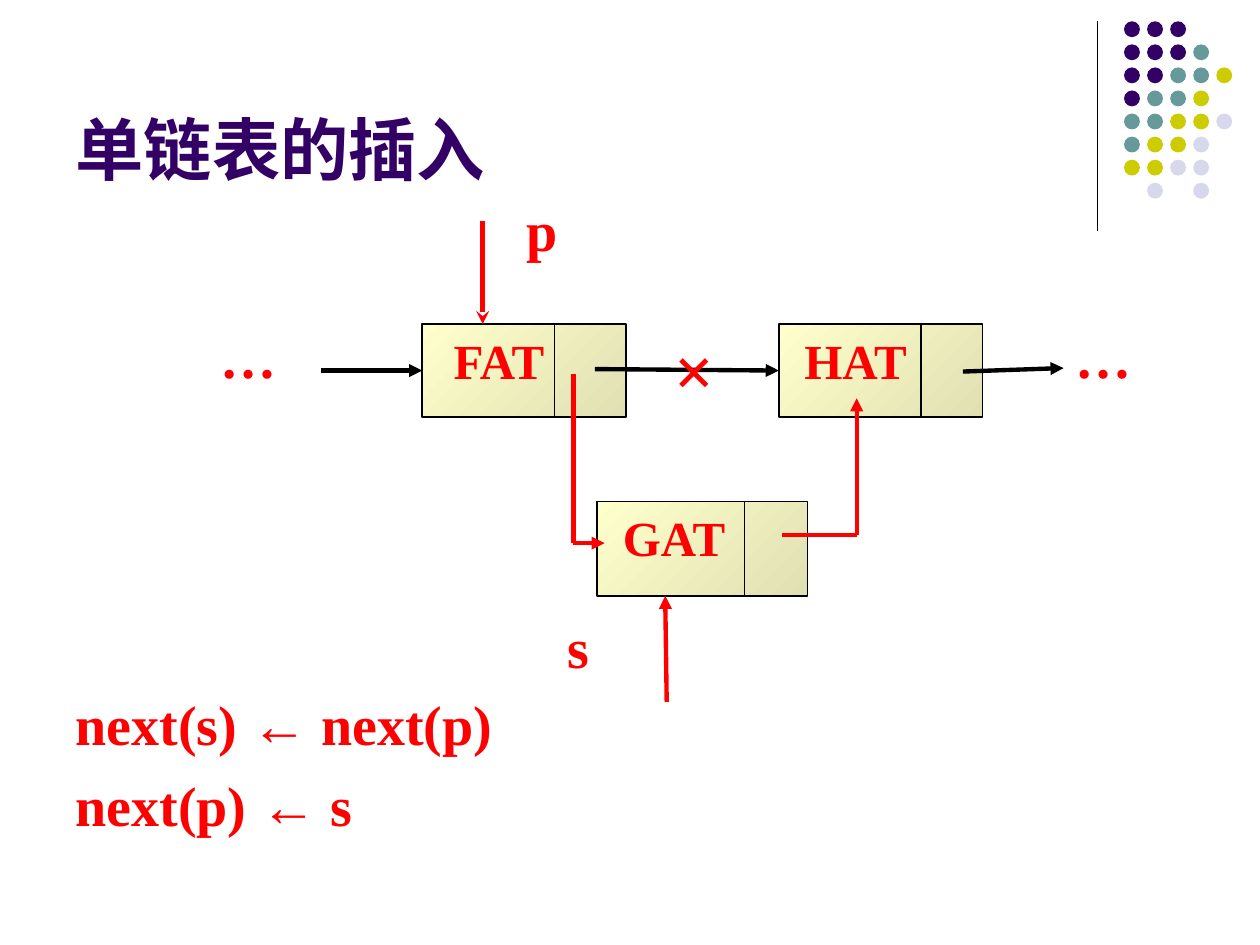
from lxml import etree
from pptx import Presentation
from pptx.dml.color import RGBColor
from pptx.enum.shapes import MSO_CONNECTOR, MSO_SHAPE
from pptx.enum.text import MSO_ANCHOR, PP_ALIGN
from pptx.oxml.ns import qn
from pptx.util import Cm, Pt

STRAIGHT = MSO_CONNECTOR.STRAIGHT
RECTANGLE, OVAL = MSO_SHAPE.RECTANGLE, MSO_SHAPE.OVAL
LEFT, CENTER = PP_ALIGN.LEFT, PP_ALIGN.CENTER
BOTTOM = MSO_ANCHOR.BOTTOM
LEFT_SIDE = 1

BLACK = RGBColor(0x00, 0x00, 0x00)
RED = RGBColor(0xFF, 0x00, 0x00)
PURPLE = RGBColor(0x33, 0x00, 0x66)
TEAL = RGBColor(0x66, 0x99, 0x99)
OLIVE = RGBColor(0xCC, 0xCC, 0x00)
LAVENDER = RGBColor(0xD8, 0xD8, 0xEC)
CREAM = RGBColor(0xFF, 0xFF, 0xCC)
SAND = RGBColor(0xE0, 0xE0, 0xB3)

SERIF, SANS = "Times New Roman", "Arial"
DOT_COLORS = {"P": PURPLE, "T": TEAL, "O": OLIVE, "L": LAVENDER}
DOT_ROWS = ["PPP", "PPPT", "PPTTO", "PTTO", "TTOOL", "TOOL", "OOLL", " L L"]
DOT_LEFT, DOT_TOP, DOT_PITCH, DOT_SIZE = 22.66, 0.43, 0.465, 0.32


def set_font(paragraph, size, color, name=None):
    font = paragraph.font
    font.size = Pt(size)
    font.bold = True
    font.color.rgb = color
    if name:
        font.name = name


def add_line(slide, start, end, color=BLACK, width=2.5, head=None):
    """Draw a straight line; head is the arrowhead type at its end."""
    line = slide.shapes.add_connector(STRAIGHT, *map(Cm, start + end))
    line.line.color.rgb = color
    line.line.width = Pt(width)
    if head:
        etree.SubElement(line.line._get_or_add_ln(), qn("a:tailEnd"), type=head)
    etree.SubElement(line._element.spPr, qn("a:effectLst"))
    return line


def add_text_box(slide, left, top, width, height, wrap=True):
    frame = slide.shapes.add_textbox(*map(Cm, (left, top, width, height))).text_frame
    frame.word_wrap = wrap
    return frame


def add_label(slide, text, box, size=32, alignment=LEFT, wrap=True):
    paragraph = add_text_box(slide, *box, wrap=wrap).paragraphs[0]
    paragraph.text = text
    paragraph.alignment = alignment
    set_font(paragraph, size, RED, SERIF)
    return paragraph


def add_node(slide, text, left, top, width, height, divider):
    """Draw a list node: a data field and, right of the divider, a link field."""
    node = slide.shapes.add_shape(RECTANGLE, *map(Cm, (left, top, width, height)))
    node.shadow.inherit = False
    node.fill.gradient()
    node.fill.gradient_angle = 315
    for stop, color in zip(node.fill.gradient_stops, (CREAM, SAND)):
        stop.color.rgb = color
    node.line.color.rgb = BLACK
    node.line.width = Pt(1)
    add_line(slide, (divider, top), (divider, top + height), width=1)
    add_label(slide, text, (left + 0.2, top, 2.7, 1.45), 28, CENTER)
    return node


def add_dots(slide):
    for row, codes in enumerate(DOT_ROWS):
        for column, code in enumerate(codes):
            if code == " ":
                continue
            dot = slide.shapes.add_shape(
                OVAL, Cm(DOT_LEFT + column * DOT_PITCH),
                Cm(DOT_TOP + row * DOT_PITCH), Cm(DOT_SIZE), Cm(DOT_SIZE))
            dot.shadow.inherit = False
            dot.fill.solid()
            dot.fill.fore_color.rgb = DOT_COLORS[code]
            dot.line.fill.background()


def add_run_shadow(run):
    effects = etree.Element(qn("a:effectLst"))
    shadow = etree.SubElement(effects, qn("a:outerShdw"), dist="35921", dir="2700000")
    etree.SubElement(shadow, qn("a:srgbClr"), val="808000")
    run.font._element.insert(0, effects)


def add_assignments(slide, assignments):
    """Write one shadowed line for each (target, value) pair."""
    frame = add_text_box(slide, 1.27, 13.77, 12.29, 3.25)
    for index, (target, value) in enumerate(assignments):
        paragraph = frame.add_paragraph() if index else frame.paragraphs[0]
        if index:
            paragraph.space_before = Pt(8)
        set_font(paragraph, 32, RED)
        for text, name in ((target + " ", SERIF), ("←", SANS), (" " + value, SERIF)):
            run = paragraph.add_run()
            run.text = text
            run.font.name = name
            add_run_shadow(run)


def set_title(slide, text):
    title = slide.shapes.title
    title.left, title.top, title.width, title.height = map(Cm, (1.27, 0.33, 20.96, 3.61))
    title.text_frame.text = text
    title.text_frame.vertical_anchor = BOTTOM
    paragraph = title.text_frame.paragraphs[0]
    paragraph.alignment = LEFT
    set_font(paragraph, 39, PURPLE, SANS)


def add_list_diagram(slide):
    for left in (4.19, 21.44):
        add_label(slide, "…", (left, 6.32, 2.06, 1.68)).line_spacing = 1.05
    fat = add_node(slide, "FAT", 8.51, 6.53, 4.11, 1.88, 11.18)
    hat = add_node(slide, "HAT", 15.7, 6.53, 4.11, 1.88, 18.57)
    add_node(slide, "GAT", 12.04, 10.11, 4.24, 1.9, 15.01)

    into_fat = add_line(slide, (6.48, 7.47), (8.51, 7.47), head="triangle")
    into_fat.end_connect(fat, LEFT_SIDE)
    old_link = add_line(slide, (11.99, 7.44), (15.7, 7.47), head="triangle")
    old_link.end_connect(hat, LEFT_SIDE)
    add_line(slide, (19.41, 7.49), (21.44, 7.42), head="triangle")

    add_label(slide, "p", (10.36, 3.81, 1.22, 1.63))
    add_line(slide, (9.73, 4.45), (9.73, 6.53), RED, head="stealth")
    add_label(slide, "s", (11.2, 12.22, 1.27, 1.63))
    add_line(slide, (13.44, 14.15), (13.41, 12.01), RED, head="triangle")

    add_line(slide, (11.56, 7.54), (11.56, 10.95), RED)
    add_line(slide, (11.56, 10.95), (12.19, 10.95), RED, head="triangle")
    add_label(slide, "×", (13.34, 6.45, 1.3, 1.96), 40, wrap=False)
    add_line(slide, (15.77, 10.78), (17.27, 10.78), RED)
    add_line(slide, (17.27, 10.78), (17.27, 8.03), RED, head="triangle")


def main():
    presentation = Presentation()
    presentation.slide_width, presentation.slide_height = Cm(25.4), Cm(19.05)
    slide = presentation.slides.add_slide(presentation.slide_layouts[5])
    add_line(slide, (22.12, 0.43), (22.12, 4.65), width=0.75)
    add_dots(slide)
    set_title(slide, "单链表的插入")
    add_list_diagram(slide)
    add_assignments(slide, [("next(s)", "next(p)"), ("next(p)", "s")])
    presentation.save("out.pptx")


if __name__ == "__main__":
    main()
